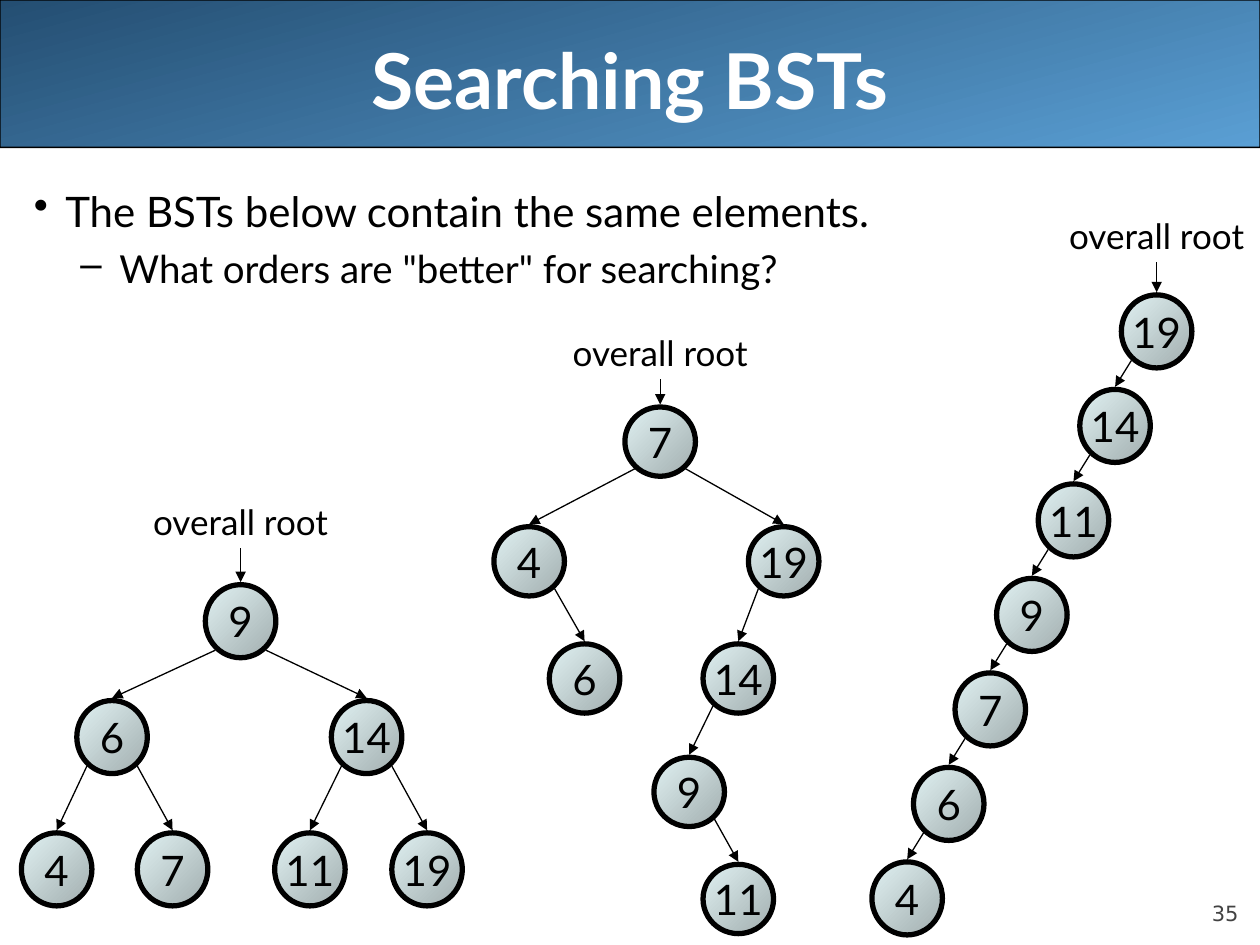
import math
import pptx
import pptx.dml.color
import pptx.enum.shapes
import pptx.enum.text
import pptx.oxml
import pptx.oxml.ns
import pptx.util
import lxml.etree

Inches = pptx.util.Inches
Pt = pptx.util.Pt
SHAPE = pptx.enum.shapes.MSO_SHAPE
ALIGN = pptx.enum.text.PP_ALIGN
ANCHOR = pptx.enum.text.MSO_ANCHOR
qn = pptx.oxml.ns.qn


def color(value):
    return pptx.dml.color.RGBColor.from_string(value)


def write(para, text, size, font="Lato", ink="000000", align=ALIGN.CENTER):
    para.alignment = align
    span = para.add_run()
    span.text = text
    span.font.size = Pt(size)
    span.font.name = font
    span.font.color.rgb = color(ink)
    return span


deck = pptx.Presentation()
deck.slide_width = Inches(10)
deck.slide_height = Inches(7.5)
slide = deck.slides.add_slide(deck.slide_layouts[5])

banner = slide.shapes.add_shape(SHAPE.ROUNDED_RECTANGLE, 0, 0, Inches(10), Inches(1.17))
banner.adjustments[0] = 0.001
banner.shadow.inherit = False
banner.fill.gradient()
banner.fill.gradient_angle = 285
for stop, shade in zip(banner.fill.gradient_stops, ("244E72", "5A9FD4")):
    stop.color.rgb = color(shade)
banner.line.color.rgb = color("000000")
banner.line.width = Pt(0.75)
slide.shapes._spTree.insert(2, banner._element)

title = slide.shapes.title
title.left, title.top, title.width, title.height = Inches(0.5), 0, Inches(9), Inches(1.25)
title.text_frame.vertical_anchor = ANCHOR.MIDDLE
write(title.text_frame.paragraphs[0], "Searching BSTs", 44, ink="FFFFFF").font.bold = True

page_box = slide.shapes.add_textbox(Inches(9), Inches(6.95), Inches(0.83), Inches(0.4))
page_frame = page_box.text_frame
page_frame.word_wrap = True
page_frame.vertical_anchor = ANCHOR.BOTTOM
page_frame.margin_left = page_frame.margin_right = 0
page_frame.margin_top = page_frame.margin_bottom = 0
write(page_frame.paragraphs[0], "35", 12, "DejaVu Sans", "424242", ALIGN.RIGHT)

body = slide.shapes.add_textbox(Inches(0.17), Inches(1.42), Inches(9.83), Inches(5.67))
body.text_frame.word_wrap = True
points = [
    ("The BSTs below contain the same elements.", 24, "•", 0.25, -0.25, 6),
    ('What orders are "better" for searching?', 22, "–", 0.68, -0.31, 5.5),
]
for level, (text, size, mark, margin, indent, before) in enumerate(points):
    para = body.text_frame.paragraphs[0] if level == 0 else body.text_frame.add_paragraph()
    para.level = level
    para.space_before = Pt(before)
    write(para, text, size, align=ALIGN.LEFT)
    properties = para._p.get_or_add_pPr()
    properties.set("marL", str(Inches(margin)))
    properties.set("indent", str(Inches(indent)))
    lxml.etree.SubElement(properties, qn("a:buChar")).set("char", mark)

# Each node is (value, left, top, index of its parent).
trees = [
    (0.55, 2.58, [("7", 4.96, 3.23, None), ("4", 3.92, 4.18, 0), ("19", 5.94, 4.18, 0),
                  ("6", 4.36, 5.11, 1), ("14", 5.58, 5.11, 2), ("9", 5.19, 6.01, 4),
                  ("11", 5.58, 6.86, 5)]),
    (0.58, 3.92, [("9", 1.63, 4.64, None), ("6", 0.61, 5.56, 0), ("14", 2.63, 5.56, 0),
                  ("4", 0.17, 6.61, 1), ("7", 1.09, 6.61, 1), ("11", 2.18, 6.61, 2),
                  ("19", 3.11, 6.61, 2)]),
    (0.58, 1.65, [(value, 8.9 - 0.33 * row, 2.34 + 0.75 * row, row - 1 if row else None)
                  for row, value in enumerate(["19", "14", "11", "9", "7", "6", "4"])]),
]
node_width = 0.56
label_width = 1.7

for node_height, label_top, nodes in trees:
    tree = slide.shapes.add_group_shape()
    for value, left, top, parent in nodes:
        center = left + node_width / 2
        if parent is None:
            label = tree.shapes.add_textbox(Inches(center - label_width / 2), Inches(label_top),
                                            Inches(label_width), Inches(0.44))
            label.text_frame.word_wrap = False
            write(label.text_frame.paragraphs[0], "overall root", 20)
            start_x, start_y = center, label_top + 0.43
        else:
            parent_left, parent_top = nodes[parent][1:3]
            start_x = parent_left + node_width / 2 + math.copysign(0.2, left - parent_left)
            start_y = parent_top + node_height - 0.06

        arrow = tree.shapes.add_connector(pptx.enum.shapes.MSO_CONNECTOR.STRAIGHT,
                                          Inches(start_x), Inches(start_y),
                                          Inches(center), Inches(top - 0.02))
        arrow.line.color.rgb = color("000000")
        arrow.line.width = Pt(0.75)
        outline = arrow._element.spPr.get_or_add_ln()
        lxml.etree.SubElement(outline, qn("a:tailEnd")).set("type", "triangle")
        lxml.etree.SubElement(arrow._element.spPr, qn("a:effectLst"))

        node = tree.shapes.add_shape(SHAPE.OVAL, Inches(left), Inches(top),
                                     Inches(node_width), Inches(node_height))
        node.shadow.inherit = False
        node.fill.gradient()
        node.fill.gradient_angle = 135
        for stop, shade in zip(node.fill.gradient_stops, ("A1ADAE", "E1F2F3")):
            stop.color.rgb = color(shade)
        node.line.color.rgb = color("000000")
        node.line.width = Pt(3)
        node.text_frame.word_wrap = False
        node.text_frame.vertical_anchor = ANCHOR.MIDDLE
        write(node.text_frame.paragraphs[0], value, 24)

deck.save("out.pptx")
